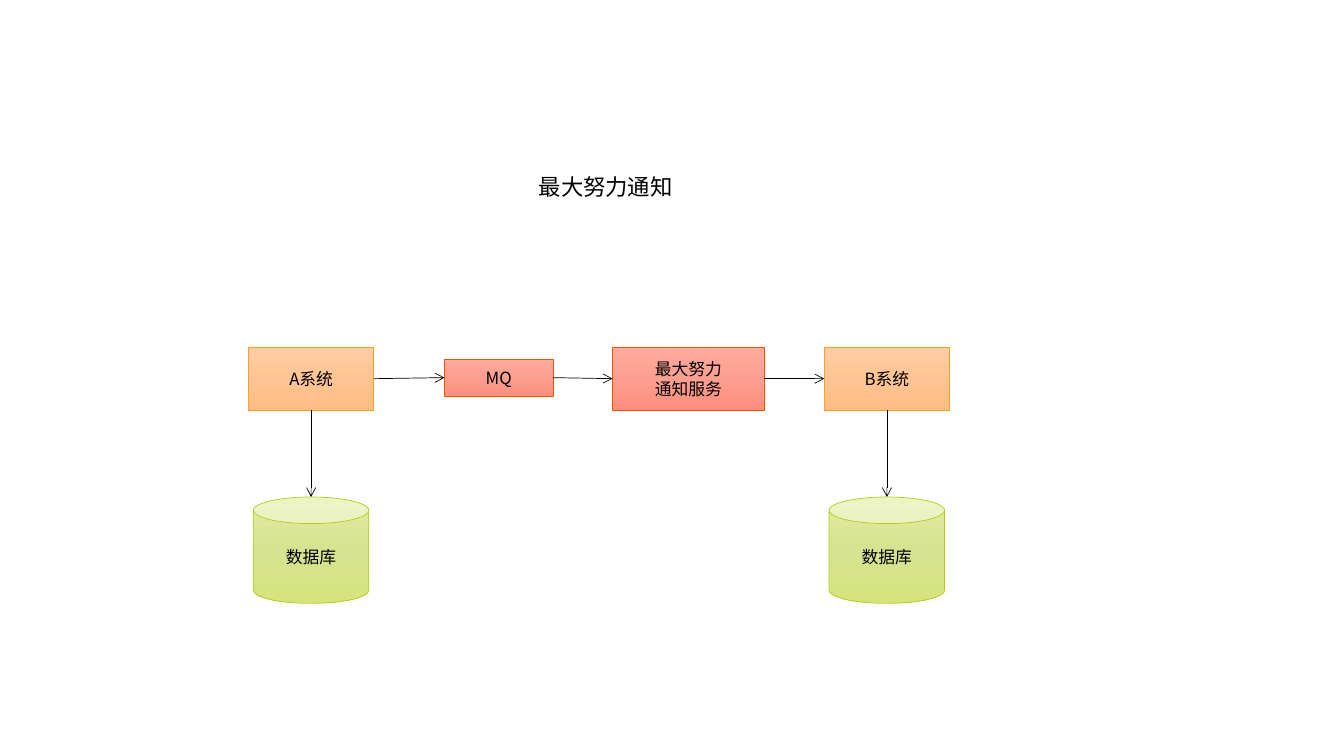
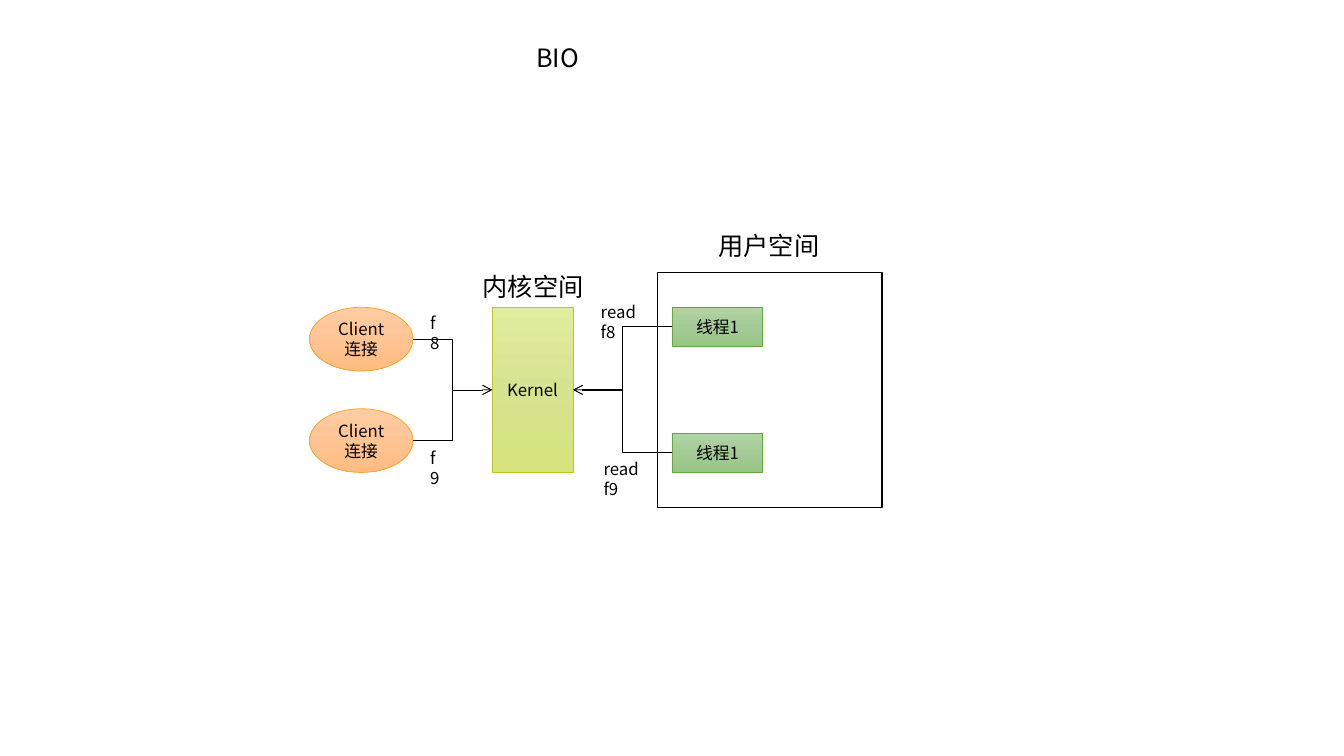
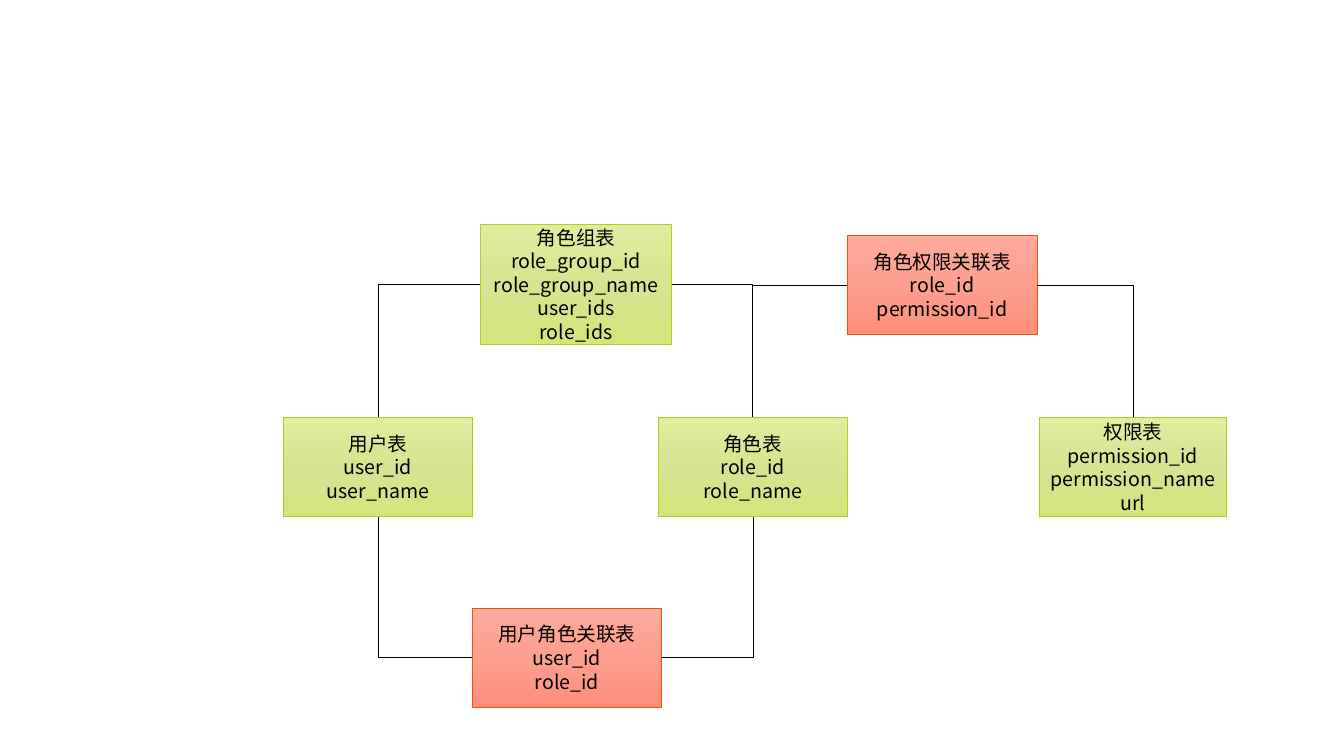
from lxml.etree import SubElement
from pptx import Presentation
from pptx.dml.color import RGBColor
from pptx.enum.shapes import MSO_CONNECTOR, MSO_SHAPE
from pptx.enum.text import MSO_ANCHOR, MSO_AUTO_SIZE, PP_ALIGN
from pptx.oxml.ns import qn
from pptx.util import Pt

FONT = "Noto Sans CJK SC"
COLORS = {"ink": "000000", "paper": "FFFFFF"}
# Gradient from top to bottom, then the outline
PALETTE = {
    "orange": (("FFCDA3", "FFC494", "FFBC81"), "FDA023"),
    "lime": (("E1ED9E", "D6E391", "D5E47C"), "B9CA1A"),
    "red": (("FFAB9E", "FC9F90", "FD8E7C"), "EB5605"),
    "green": (("B0D4A3", "A4CA96", "95C683"), "64A73B"),
}
TITLE_ONLY, BLANK = 5, 6
TOP, LEFT, BOTTOM, RIGHT = range(4)

# Slide 1: (text, colour, left, top, width, height), from left to right
NOTIFY_CHAIN = [
    ("A系统", "orange", 177.5, 248, 89.5, 45),
    ("MQ", "red", 317.5, 256.5, 77.5, 26.5),
    ("最大努力\n通知服务", "red", 437.5, 248, 108.5, 45),
    ("B系统", "orange", 588.75, 248, 89.5, 45),
]
DB_TOP, DB_W, DB_H = 355, 82.5, 76

# Slide 2
USER_SPACE = (469.5, 194.5, 160.5, 168)
KERNEL = (351.5, 219.5, 58, 118)
CLIENT_LEFT, CLIENT_W, CLIENT_H = 221, 74, 45.5
THREAD_LEFT, THREAD_W, THREAD_H = 480.25, 64.5, 28
SPACE_NAMES = [("内核空间", 337.7, 190), ("用户空间", 506.2, 161.3)]
CALL_LABELS = [
    ("read f8", 422, 211.7, 46.8),
    ("read f9", 424, 324, 46.8),
    ("f8", 300.2, 219.6, 23.8),
    ("f9", 300.2, 316.1, 23.8),
]

# Slide 3: name -> (columns, colour, left, top, width, height)
TABLES = {
    "用户表": (["user_id", "user_name"], "lime", 202.25, 298, 135.5, 71),
    "用户角色关联表": (["user_id", "role_id"], "red", 337.25, 434.25, 135.5, 71),
    "角色表": (["role_id", "role_name"], "lime", 470, 298, 135.5, 71),
    "权限表": (["permission_id", "permission_name", "url"],
            "lime", 742.25, 298, 134, 71),
    "角色权限关联表": (["role_id", "permission_id"], "red", 605.25, 168, 135.5, 71),
    "角色组表": (["role_group_id", "role_group_name", "user_ids", "role_ids"],
             "lime", 343.25, 160.25, 136.5, 86),
}
RELATIONS = [
    ("用户角色关联表", LEFT, "用户表", BOTTOM),
    ("用户角色关联表", RIGHT, "角色表", BOTTOM),
    ("角色权限关联表", LEFT, "角色表", TOP),
    ("角色权限关联表", RIGHT, "权限表", TOP),
    ("角色组表", LEFT, "用户表", TOP),
    ("角色组表", RIGHT, "角色表", TOP),
]


def rgb(value):
    return RGBColor.from_string(value)


def write(tf, text, size, align):
    for i, line in enumerate(text.split("\n")):
        p = tf.paragraphs[0] if i == 0 else tf.add_paragraph()
        p.alignment = align
        r = p.add_run()
        r.text = line
        r.font.size = Pt(size)
        r.font.name = FONT
        r.font.color.rgb = rgb(COLORS["ink"])
        SubElement(r._r.get_or_add_rPr(), qn("a:ea")).set("typeface", FONT)


def add_title(slide, text, box, size, align):
    title = slide.shapes.title
    title.left, title.top, title.width, title.height = map(Pt, box)
    tf = title.text_frame
    tf.auto_size = MSO_AUTO_SIZE.NONE
    tf.vertical_anchor = MSO_ANCHOR.TOP
    write(tf, text, size, align)


def add_label(slide, text, box, size, wrap):
    tf = slide.shapes.add_textbox(*map(Pt, box)).text_frame
    tf.word_wrap = wrap
    write(tf, text, size, PP_ALIGN.LEFT)


def add_node(slide, text, color, box, size=12, kind=MSO_SHAPE.RECTANGLE):
    """Add a shape with a vertical three-colour gradient and centred text."""
    sp = slide.shapes.add_shape(kind, *map(Pt, box))
    sp.shadow.inherit = False
    stops, outline = PALETTE[color]
    sp.fill.gradient()
    sp.fill.gradient_angle = 270
    gs_list = sp._element.spPr.find(qn("a:gradFill")).find(qn("a:gsLst"))
    for gs in list(gs_list):
        gs_list.remove(gs)
    for i, stop in enumerate(stops):
        gs = SubElement(gs_list, qn("a:gs"), pos=str(i * 50000))
        SubElement(gs, qn("a:srgbClr"), val=stop)
    sp.line.color.rgb = rgb(outline)
    sp.line.width = Pt(0.5)
    tf = sp.text_frame
    tf.word_wrap = True
    tf.vertical_anchor = MSO_ANCHOR.MIDDLE
    write(tf, text, size, PP_ALIGN.CENTER)
    return sp


def side(sp, site):
    """Return the middle of one side of a shape."""
    mid_x, mid_y = sp.left + sp.width // 2, sp.top + sp.height // 2
    return {TOP: (mid_x, sp.top), LEFT: (sp.left, mid_y),
            BOTTOM: (mid_x, sp.top + sp.height),
            RIGHT: (sp.left + sp.width, mid_y)}[site]


def link(slide, start, start_side, end, end_side,
         kind=MSO_CONNECTOR.STRAIGHT, arrow=True):
    cx = slide.shapes.add_connector(
        kind, *side(start, start_side), *side(end, end_side))
    if start.auto_shape_type == MSO_SHAPE.RECTANGLE:
        cx.begin_connect(start, start_side)
    if end.auto_shape_type == MSO_SHAPE.RECTANGLE:
        cx.end_connect(end, end_side)
    cx.line.color.rgb = rgb(COLORS["ink"])
    cx.line.width = Pt(0.5)
    spPr = cx._element.spPr
    if arrow:
        SubElement(spPr.find(qn("a:ln")), qn("a:tailEnd"), type="arrow")
    SubElement(spPr, qn("a:effectLst"))
    return cx


def build_notify(prs):
    slide = prs.slides.add_slide(prs.slide_layouts[TITLE_ONLY])
    add_title(slide, "最大努力通知", (320.4, 120.2, 224.6, 26.6), 16,
              PP_ALIGN.CENTER)
    chain = [add_node(slide, text, color, box)
             for text, color, *box in NOTIFY_CHAIN]
    for start, end in zip(chain, chain[1:]):
        link(slide, start, RIGHT, end, LEFT)
    for system in (chain[0], chain[-1]):
        left = system.left.pt + (system.width.pt - DB_W) / 2
        db = add_node(slide, "数据库", "lime", (left, DB_TOP, DB_W, DB_H),
                      kind=MSO_SHAPE.CAN)
        link(slide, system, BOTTOM, db, TOP)


def build_bio(prs):
    slide = prs.slides.add_slide(prs.slide_layouts[TITLE_ONLY])
    add_title(slide, "BIO", (375.8, 26.6, 60, 29), 18, PP_ALIGN.LEFT)
    space = slide.shapes.add_shape(MSO_SHAPE.RECTANGLE, *map(Pt, USER_SPACE))
    space.shadow.inherit = False
    space.fill.solid()
    space.fill.fore_color.rgb = rgb(COLORS["paper"])
    space.line.color.rgb = rgb(COLORS["ink"])
    space.line.width = Pt(1)

    kernel = add_node(slide, "Kernel", "lime", KERNEL)
    _, top, _, height = KERNEL
    for at_bottom in (0, 1):
        client_top = top + at_bottom * (height - CLIENT_H)
        client = add_node(slide, "Client连接", "orange",
                          (CLIENT_LEFT, client_top, CLIENT_W, CLIENT_H),
                          kind=MSO_SHAPE.OVAL)
        thread_top = top + at_bottom * (height - THREAD_H)
        thread = add_node(slide, "线程1", "green",
                          (THREAD_LEFT, thread_top, THREAD_W, THREAD_H))
        link(slide, client, RIGHT, kernel, LEFT, MSO_CONNECTOR.ELBOW)
        link(slide, thread, LEFT, kernel, RIGHT, MSO_CONNECTOR.ELBOW)
    for text, x, y in SPACE_NAMES:
        add_label(slide, text, (x, y, 86.4, 29), 18, False)
    for text, x, y, width in CALL_LABELS:
        add_label(slide, text, (x, y, width, 21.6), 12, True)


def build_tables(prs):
    slide = prs.slides.add_slide(prs.slide_layouts[BLANK])
    nodes = {name: add_node(slide, "\n".join([name, *columns]), color, box, 14)
             for name, (columns, color, *box) in TABLES.items()}
    for start, start_side, end, end_side in RELATIONS:
        cx = link(slide, nodes[start], start_side, nodes[end], end_side,
                  MSO_CONNECTOR.ELBOW, arrow=False)
        # One corner only: across first, then up or down
        cx._element.spPr.find(qn("a:prstGeom")).set("prst", "bentConnector2")


def main():
    prs = Presentation()
    prs.slide_width, prs.slide_height = Pt(960), Pt(540)
    build_notify(prs)
    build_bio(prs)
    build_tables(prs)
    prs.save("out.pptx")


if __name__ == "__main__":
    main()
